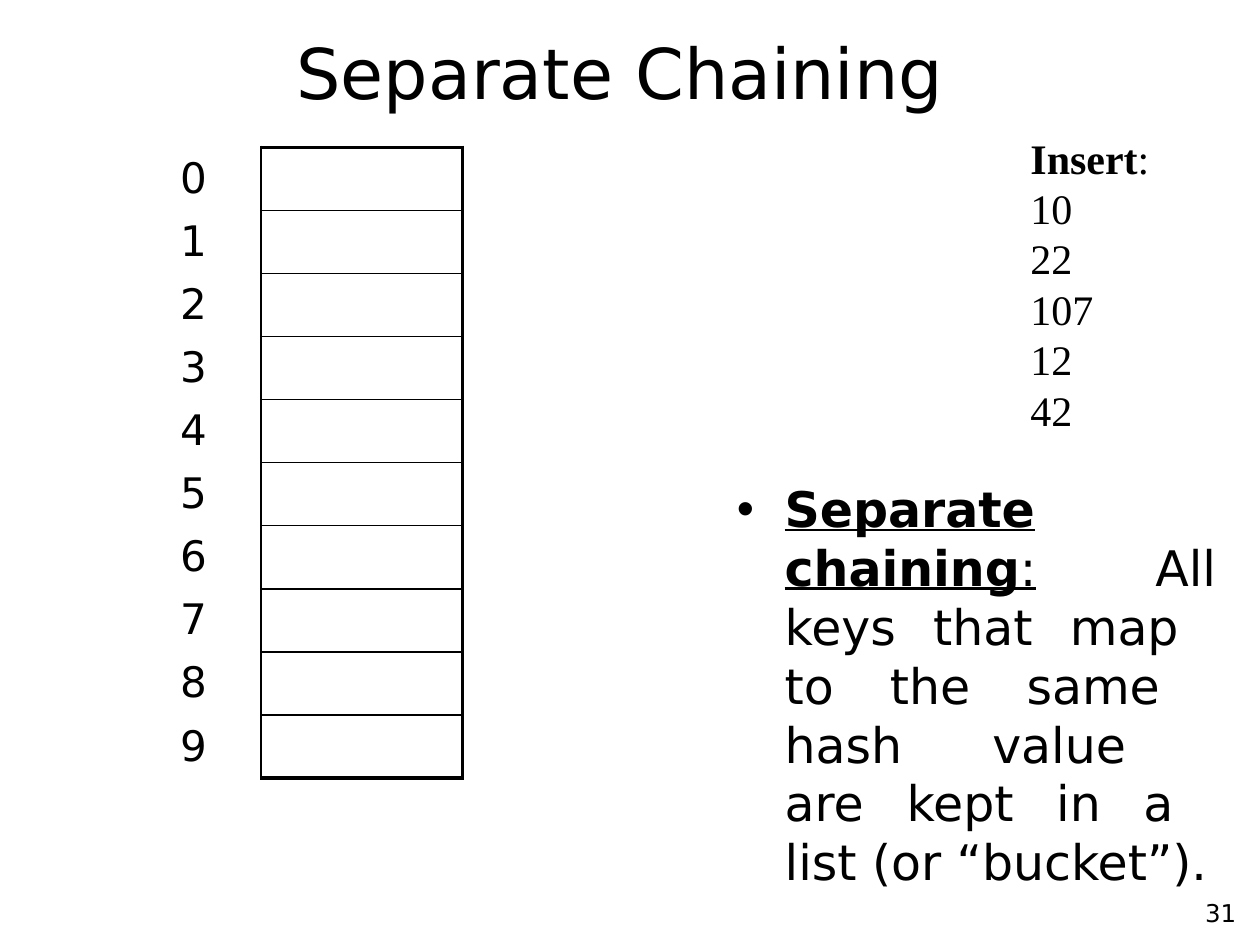
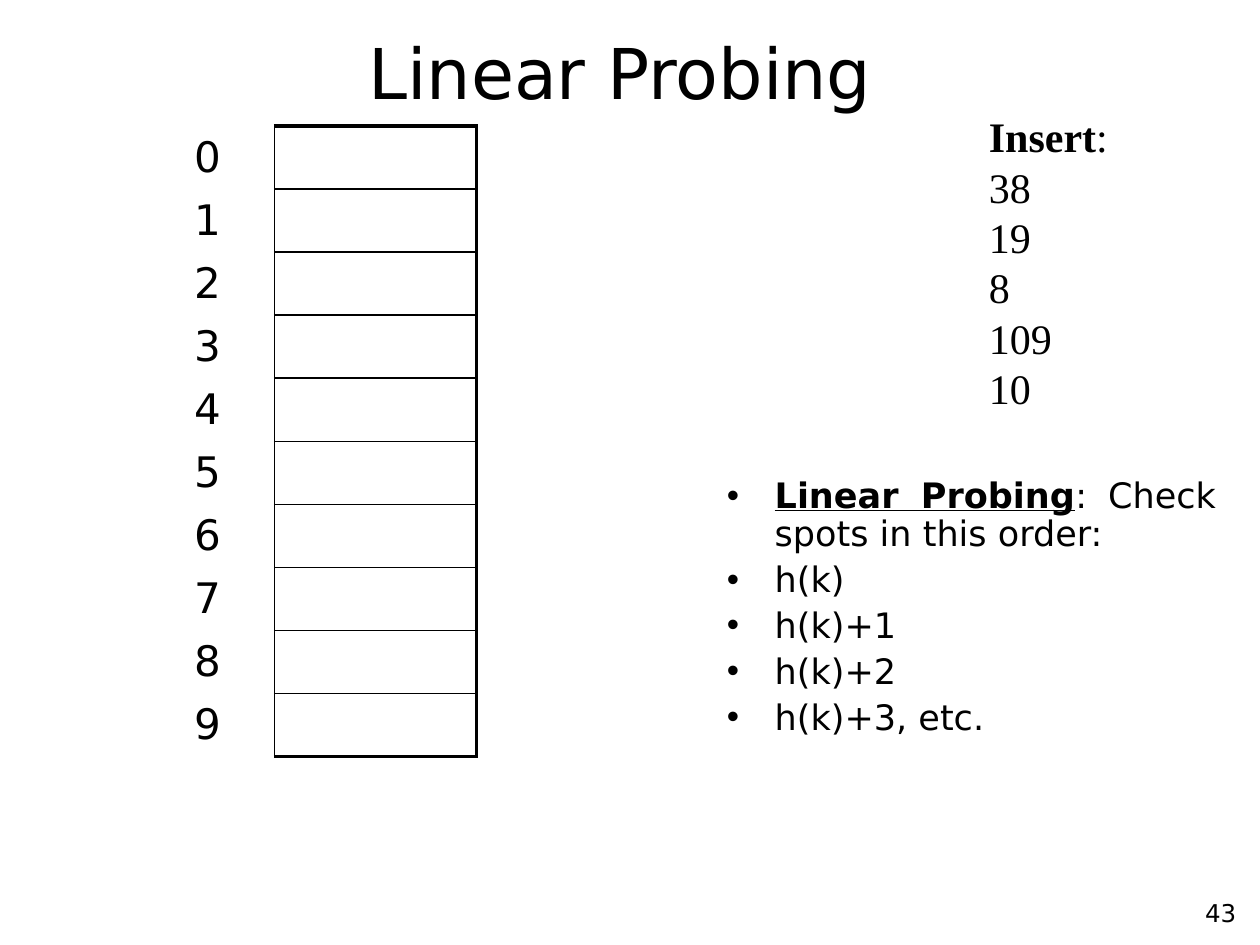
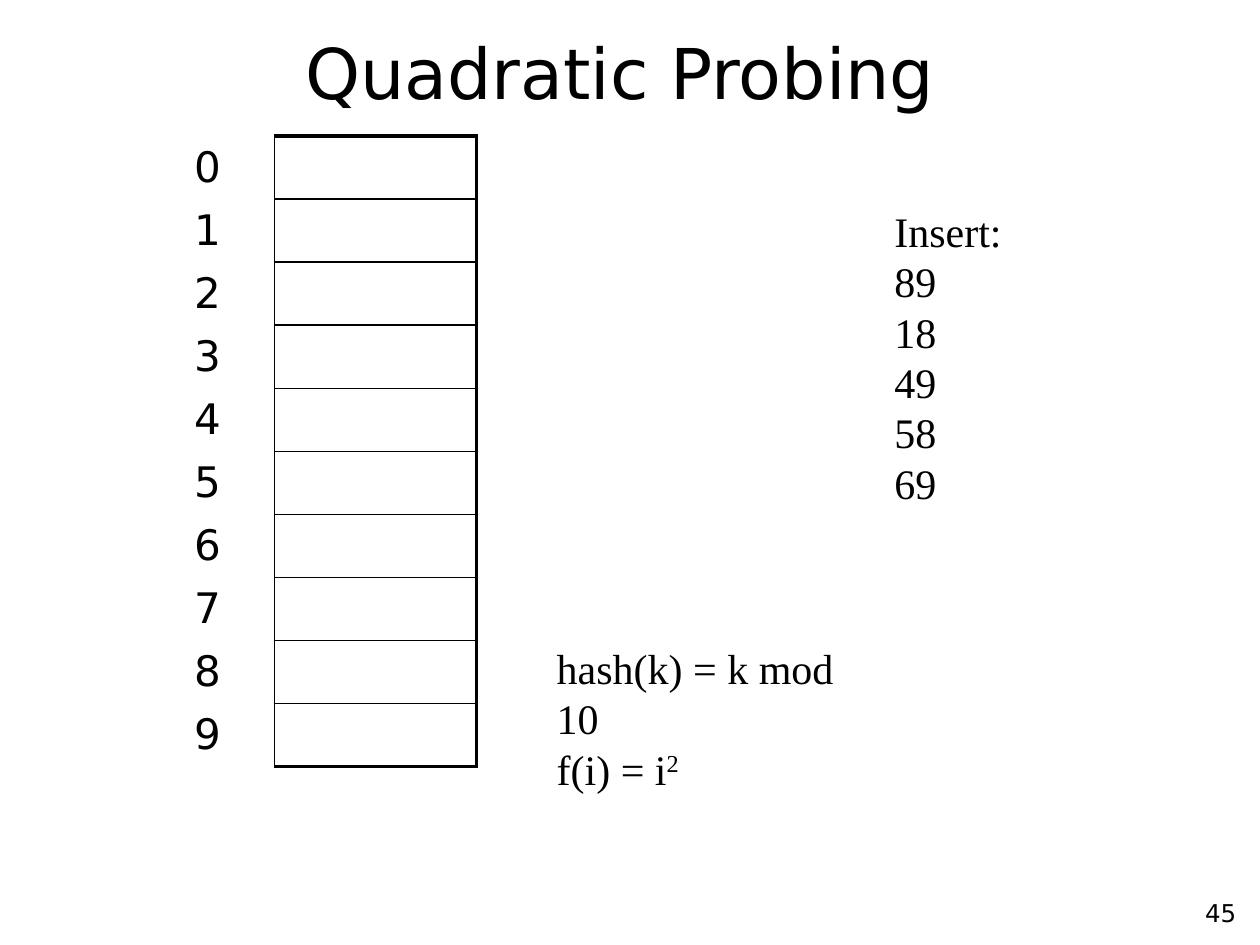
from lxml.etree import SubElement
from pptx import Presentation
from pptx.dml.color import RGBColor
from pptx.enum.text import MSO_ANCHOR, MSO_AUTO_SIZE, PP_ALIGN
from pptx.oxml.ns import qn
from pptx.util import Inches, Pt

COLORS = {"ink": "000000", "page": "FFFFFF"}
SANS = "DejaVu Sans"
SERIF = "Times New Roman"
THIN, THICK = 1, 2.25
SLOTS = 10
TITLE_ONLY = 5


class HashingDeck:
    """Holds the shared style and the slide being built."""

    def __init__(self):
        self.deck = Presentation()
        self.deck.slide_width = Inches(10)
        self.deck.slide_height = Inches(7.5)
        self.slide = None

    def add_page(self, title, number):
        self.slide = self.deck.slides.add_slide(self.deck.slide_layouts[TITLE_ONLY])
        fill = self.slide.background.fill
        fill.solid()
        fill.fore_color.rgb = RGBColor.from_string(COLORS["page"])

        box = self.slide.shapes.title
        box.left, box.top = Inches(0.67), Inches(0.19)
        box.width, box.height = Inches(8.5), Inches(0.75)
        frame = box.text_frame
        frame.text = title
        frame.vertical_anchor = MSO_ANCHOR.MIDDLE
        frame.paragraphs[0].alignment = PP_ALIGN.CENTER
        self.style(frame.paragraphs[0].runs[0], 40)

        page_number = self.add_text(7.83, 7.08, 2.08, 0.37, [number], 14, SANS)
        page_number.text_frame.paragraphs[0].alignment = PP_ALIGN.RIGHT

    def style(self, span, size, font=SANS, marks=()):
        span.font.name = font
        span.font.size = Pt(size)
        span.font.color.rgb = RGBColor.from_string(COLORS["ink"])
        span.font.bold = "bold" in marks
        span.font.underline = "underline" in marks
        if "superscript" in marks:
            span.font._element.set("baseline", "30000")

    def add_text(self, left, top, width, height, lines, size=24, font=SERIF):
        """Each line is a string or a list of (text, *marks) spans."""
        box = self.slide.shapes.add_textbox(
            Inches(left), Inches(top), Inches(width), Inches(height))
        frame = box.text_frame
        frame.word_wrap = True
        for index, line in enumerate(lines):
            para = frame.add_paragraph() if index else frame.paragraphs[0]
            for text, *marks in [(line,)] if isinstance(line, str) else line:
                for row, part in enumerate(text.split("\n")):
                    if row:
                        para.add_line_break()
                    span = para.add_run()
                    span.text = part
                    self.style(span, size, font, marks)
        return box

    def add_note(self, *args, wrap=True):
        frame = self.add_text(*args).text_frame
        frame.auto_size = MSO_AUTO_SIZE.SHAPE_TO_FIT_TEXT
        frame.word_wrap = wrap

    def add_bullets(self, left, top, width, height, lines, size, line_spacing=1.0):
        box = self.add_text(left, top, width, height, lines, size, SANS)
        for index, para in enumerate(box.text_frame.paragraphs):
            para.alignment = PP_ALIGN.JUSTIFY
            para.line_spacing = line_spacing
            if index:
                para.space_before = Pt(size * 0.23)
            properties = para._p.get_or_add_pPr()
            properties.set("marL", str(Inches(0.38)))
            properties.set("indent", str(-Inches(0.38)))
            SubElement(properties, qn("a:buFont"), typeface="Arial")
            SubElement(properties, qn("a:buChar"), char="•")

    def set_borders(self, cell, **widths):
        """Sides without a width get no line."""
        properties = cell._tc.get_or_add_tcPr()
        for side in "LRTB":
            width = widths.get(side, 0)
            line = SubElement(properties, qn(f"a:ln{side}"), w=str(Pt(width)))
            if width:
                fill = SubElement(line, qn("a:solidFill"))
                SubElement(fill, qn("a:srgbClr"), val=COLORS["ink"])
            else:
                SubElement(line, qn("a:noFill"))

    def add_hash_table(self, left, top):
        holder = self.slide.shapes.add_table(
            SLOTS, 2, Inches(left), Inches(top), Inches(2.34), Inches(5))
        table = holder.table
        table.first_row = table.horz_banding = False
        table.columns[0].width = Inches(0.74)
        table.columns[1].width = Inches(1.6)
        for index, row in enumerate(table.rows):
            row.height = Inches(0.42)
            label, slot = row.cells
            label.text = str(index)
            label.vertical_anchor = MSO_ANCHOR.MIDDLE
            para = label.text_frame.paragraphs[0]
            para.alignment = PP_ALIGN.JUSTIFY
            self.style(para.runs[0], 24)
            self.set_borders(label, R=THIN)
            self.set_borders(slot, L=THIN, R=THICK,
                             T=THICK if index == 0 else THIN,
                             B=THICK if index == SLOTS - 1 else THIN)
            for cell in row.cells:
                cell.fill.background()
        holder.height = Inches(5)


def main():
    hashing = HashingDeck()
    insert_heading = [("Insert", "bold"), (":",)]

    # Separate chaining
    hashing.add_page("Separate Chaining", "31")
    hashing.add_bullets(5.75, 3.75, 4, 3.42, [[
        ("Separate chaining", "bold", "underline"),
        (":", "underline"),
        (" All keys that map \nto the same \nhash value \nare kept in a \n"
         "list (or “bucket”).",),
    ]], 28)
    hashing.add_hash_table(1.33, 1.17)
    hashing.add_note(8.08, 1, 1.36, 2.5,
                     [insert_heading, "10", "22", "107", "12", "42"])

    # Linear probing
    hashing.add_page("Linear Probing", "43")
    hashing.add_bullets(5.67, 3.75, 4.08, 3, [
        [("Linear Probing", "bold", "underline"), (": Check spots in this order:",)],
        "h(k)", "h(k)+1", "h(k)+2", "h(k)+3, etc.",
    ], 20, 0.9)
    hashing.add_hash_table(1.44, 1)
    hashing.add_note(7.75, 0.83, 1.36, 2.5,
                     [insert_heading, "38", "19", "8", "109", "10"])

    # Quadratic probing
    hashing.add_page("Quadratic Probing", "45")
    hashing.add_hash_table(1.44, 1.08)
    hashing.add_note(7, 1.58, 1.53, 2.5, ["Insert:", "89", "18", "49", "58", "69"])
    hashing.add_note(4.32, 5.05, 2.81, 0.9,
                     ["hash(k) = k mod 10", [("f(i) = i",), ("2", "superscript")]],
                     wrap=False)

    hashing.deck.save("out.pptx")


if __name__ == "__main__":
    main()
